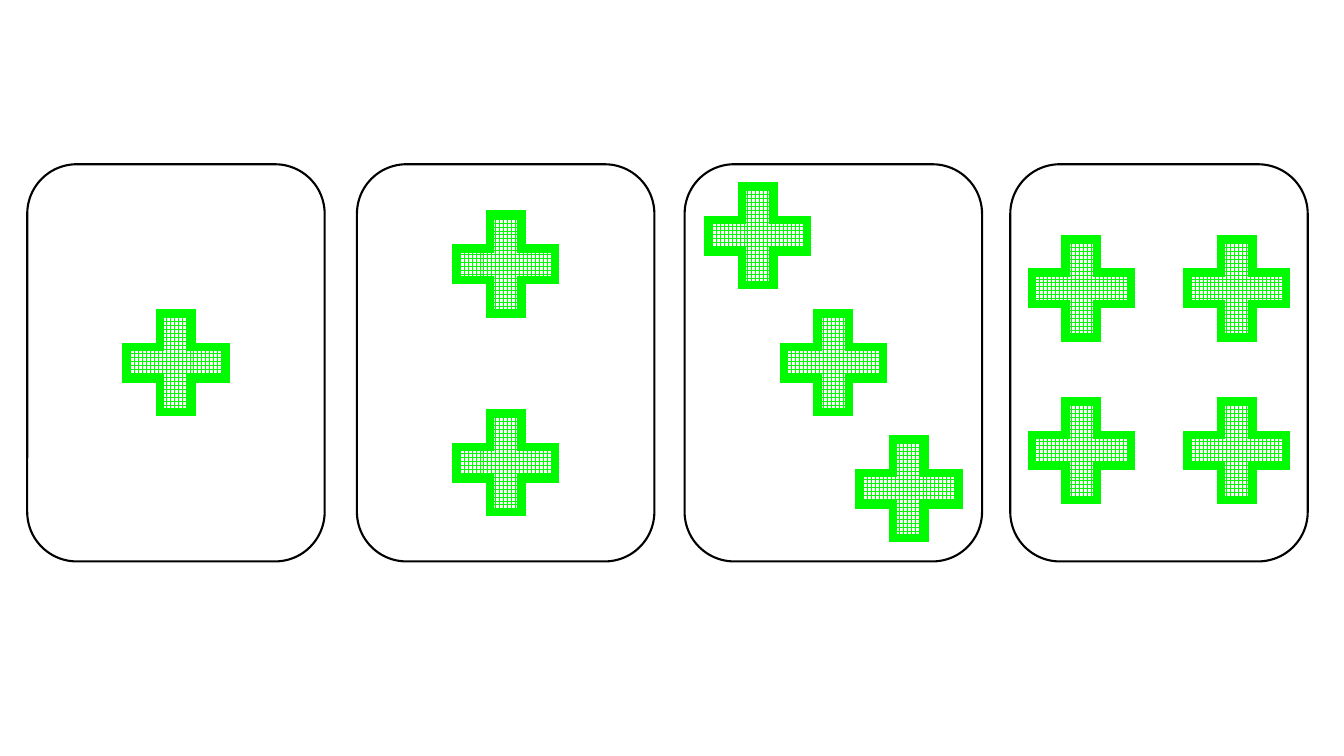
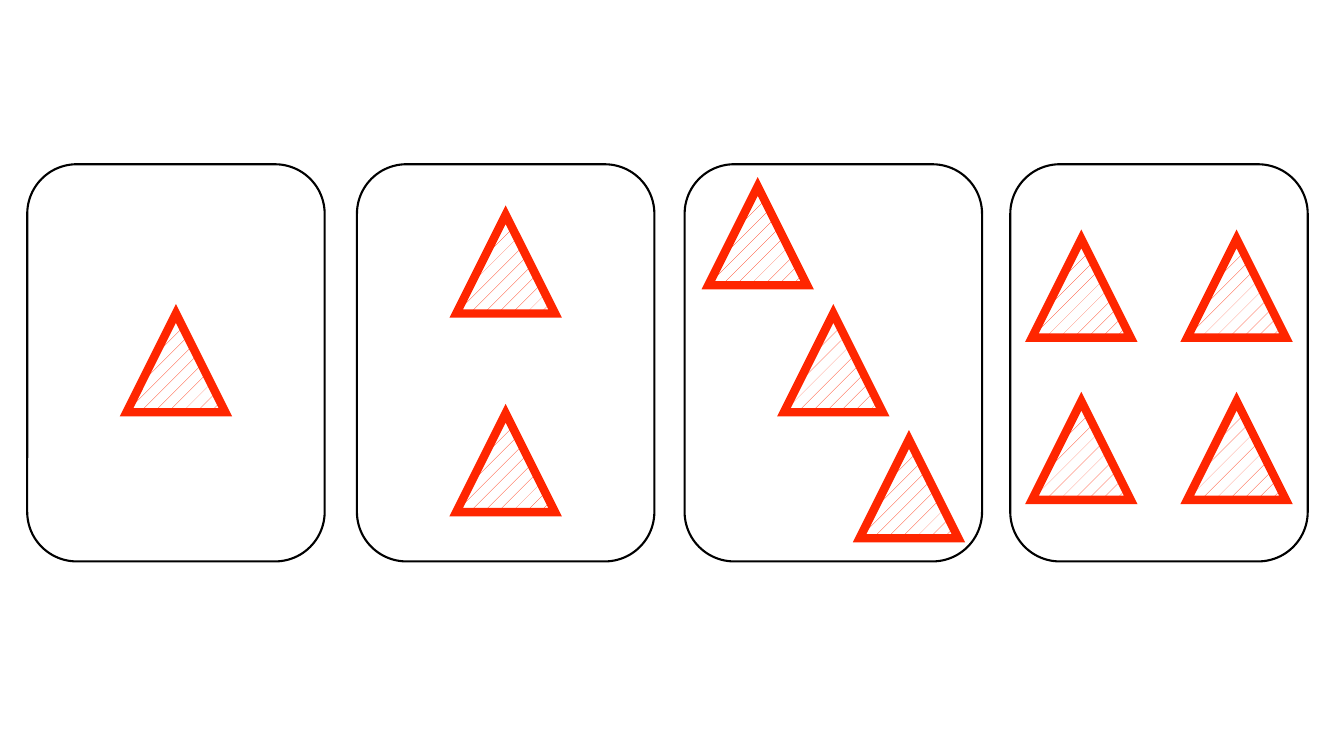
import dataclasses

import pptx
import pptx.dml.color
import pptx.enum.dml
import pptx.enum.shapes
import pptx.oxml
import pptx.oxml.ns
import pptx.util

Inches = pptx.util.Inches
Pt = pptx.util.Pt
RGB = pptx.dml.color.RGBColor.from_string
SHAPE = pptx.enum.shapes.MSO_SHAPE
PATTERN = pptx.enum.dml.MSO_PATTERN


@dataclasses.dataclass(frozen=True)
class Theme:
    paper: str = "FFFFFF"
    ink: str = "000000"
    green: str = "00FA00"
    red: str = "FF2600"
    card_line: float = 1.5
    symbol_line: float = 6


THEME = Theme()

# One suit a slide: symbol shape, its adjustments, pattern and colour
SUITS = [
    (SHAPE.CROSS, [0.341], PATTERN.LARGE_GRID, THEME.green),
    (SHAPE.ISOSCELES_TRIANGLE, [], PATTERN.PERCENT_5, THEME.red),
]

# One card each: left edge, and symbol centres measured from the card's centre
CARDS = [
    (0.27, [(0, 0)]),
    (3.54, [(0, -0.98), (0, 0.99)]),
    (6.79, [(-0.75, -1.26), (0, 0), (0.75, 1.25)]),
    (10.02, [(x, y) for y in (-0.74, 0.87) for x in (-0.77, 0.77)]),
]

SLIDE_WIDTH, SLIDE_HEIGHT = 13.33, 7.5
CARD_TOP, CARD_WIDTH, CARD_HEIGHT = 1.63, 2.95, 3.94
SYMBOL_SIZE = 0.98


def add_outlined(page, kind, left, top, width, height, color, line_width):
    box = page.shapes.add_shape(
        kind, Inches(left), Inches(top), Inches(width), Inches(height))
    box.shadow.inherit = False
    box.line.color.rgb = RGB(color)
    box.line.width = Pt(line_width)
    return box


def add_card(page, left):
    card = add_outlined(page, SHAPE.ROUNDED_RECTANGLE, left, CARD_TOP,
                        CARD_WIDTH, CARD_HEIGHT, THEME.ink, THEME.card_line)
    card.fill.solid()
    card.fill.fore_color.rgb = RGB(THEME.paper)


def add_symbol(page, suit, center_x, center_y):
    kind, adjustments, pattern, color = suit
    symbol = add_outlined(page, kind, center_x - SYMBOL_SIZE / 2,
                          center_y - SYMBOL_SIZE / 2, SYMBOL_SIZE, SYMBOL_SIZE,
                          color, THEME.symbol_line)
    for index, value in enumerate(adjustments):
        symbol.adjustments[index] = value
    symbol.fill.patterned()
    symbol.fill.pattern = pattern
    symbol.fill.fore_color.rgb = RGB(color)
    symbol.fill.back_color.rgb = RGB(THEME.paper)
    # Sharp corners
    outline = symbol.line._get_or_add_ln()
    namespace = pptx.oxml.ns.nsdecls("a")
    outline.append(pptx.oxml.parse_xml(f'<a:miter {namespace} lim="800000"/>'))


def add_suit_slide(deck, suit):
    page = deck.slides.add_slide(deck.slide_layouts[6])
    for left, _ in CARDS:
        add_card(page, left)
    for left, offsets in CARDS:
        for x, y in offsets:
            add_symbol(page, suit, left + CARD_WIDTH / 2 + x,
                       CARD_TOP + CARD_HEIGHT / 2 + y)


def main():
    deck = pptx.Presentation()
    deck.slide_width = Inches(SLIDE_WIDTH)
    deck.slide_height = Inches(SLIDE_HEIGHT)
    for suit in SUITS:
        add_suit_slide(deck, suit)
    deck.save("out.pptx")


if __name__ == "__main__":
    main()
